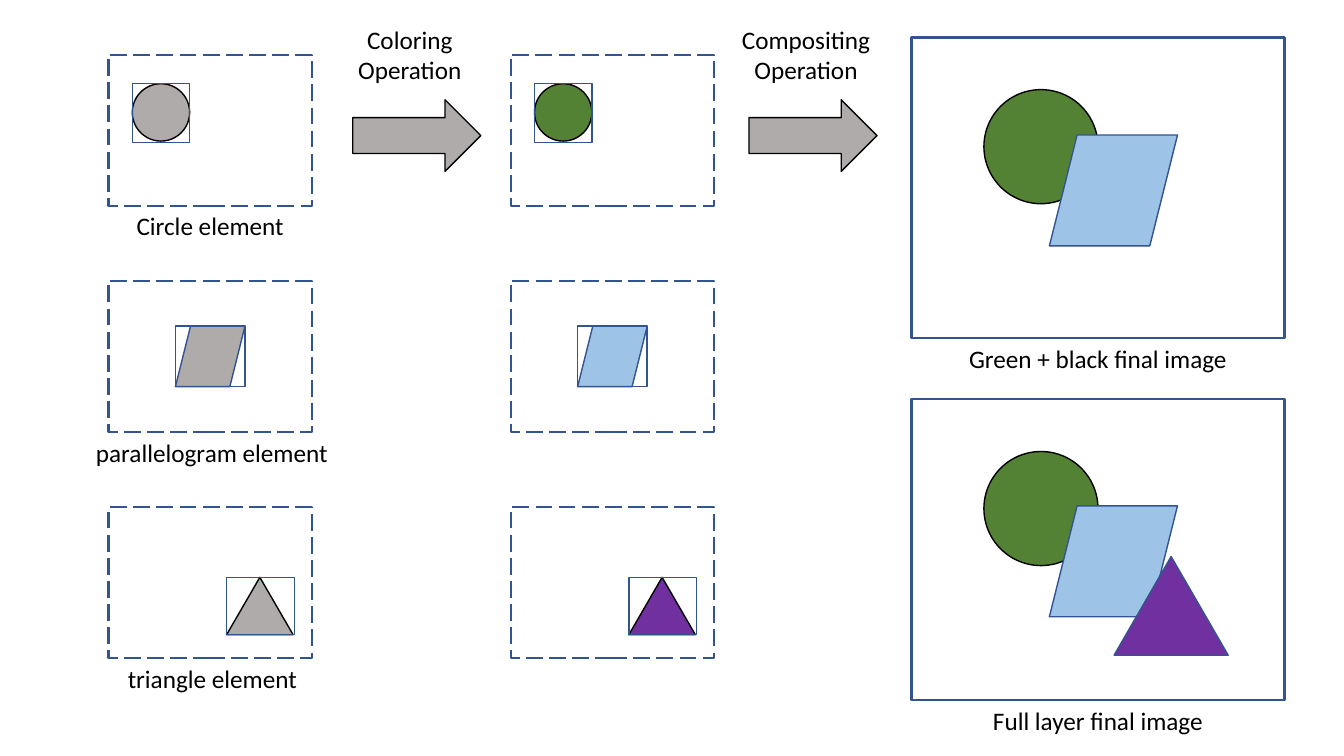
from dataclasses import dataclass
from pptx import Presentation
from pptx.dml.color import RGBColor
from pptx.enum.dml import MSO_LINE
from pptx.enum.shapes import MSO_SHAPE
from pptx.enum.text import PP_ALIGN
from pptx.util import Pt


@dataclass(frozen=True)
class Theme:
    font: str = "Calibri"
    text_size: float = 18
    black: str = "000000"
    blue: str = "325491"
    grey: str = "AFABAB"
    green: str = "548235"
    sky: str = "9DC3E6"
    purple: str = "7030A0"
    thin: float = 1
    dashed: float = 1.5
    thick: float = 2


@dataclass(frozen=True)
class Element:
    label: str
    label_shift: float
    kind: MSO_SHAPE
    color: str
    outline: str
    place: tuple
    bounds: tuple


THEME = Theme()
ELEMENTS = [
    Element("Circle element", 0, MSO_SHAPE.OVAL, THEME.green, THEME.black,
            (17, 20.8, 41, 41), (41, 41.8)),
    Element("parallelogram element", 1.2, MSO_SHAPE.PARALLELOGRAM, THEME.sky, THEME.blue,
            (47.8, 32.4, 49.7, 43.2), (49.7, 43.2)),
    Element("triangle element", 1.6, MSO_SHAPE.ISOSCELES_TRIANGLE, THEME.purple, THEME.black,
            (84.4, 50.2, 47.5, 41), (48.5, 41)),
]


def add_figure(page, kind, box, line_color, line_width=THEME.thin, fill=None):
    figure = page.shapes.add_shape(kind, *map(Pt, box))
    figure.shadow.inherit = False
    if fill:
        figure.fill.solid()
        figure.fill.fore_color.rgb = RGBColor.from_string(fill)
    else:
        figure.fill.background()
    figure.line.color.rgb = RGBColor.from_string(line_color)
    figure.line.width = Pt(line_width)
    return figure


def add_label(page, text, box):
    frame = page.shapes.add_textbox(*map(Pt, box)).text_frame
    frame.word_wrap = True
    paragraph = frame.paragraphs[0]
    paragraph.text = text
    paragraph.alignment = PP_ALIGN.CENTER
    paragraph.font.name = THEME.font
    paragraph.font.size = Pt(THEME.text_size)
    paragraph.font.color.rgb = RGBColor.from_string(THEME.black)


def within(box, place):
    left, top, width, height = place
    return box[0] + left, box[1] + top, width, height


def add_element_panel(page, box, element, fill):
    frame = add_figure(page, MSO_SHAPE.RECTANGLE, box, THEME.blue, THEME.dashed)
    frame.line.dash_style = MSO_LINE.LONG_DASH
    place = within(box, element.place)
    add_figure(page, element.kind, place, element.outline, fill=fill)
    add_figure(page, MSO_SHAPE.RECTANGLE, place[:2] + element.bounds, THEME.blue)


def add_element_label(page, box, element):
    left, top, width, height = box
    label_width = 187
    label_left = left + (width - label_width) / 2 + element.label_shift
    add_label(page, element.label, (label_left, top + height, label_width, 29))


def add_operation(page, box, text):
    left, top, width, height = box
    label_width, label_shift = 116, -5
    label_left = left + (width - label_width) / 2 + label_shift
    add_label(page, text, (label_left, top, label_width, 51))
    arrow = (left, top + 57.6, width, height - 57.6)
    add_figure(page, MSO_SHAPE.RIGHT_ARROW, arrow, THEME.black, fill=THEME.grey)


def add_final_image(page, box, caption, parallelogram_top, with_triangle):
    left, top, width, height = box
    add_figure(page, MSO_SHAPE.RECTANGLE, box, THEME.blue, THEME.thick)
    layers = [
        (MSO_SHAPE.OVAL, (51.8, 37.5, 81.5, 81.5), THEME.black, THEME.green),
        (MSO_SHAPE.PARALLELOGRAM, (98.6, parallelogram_top, 91.5, 79.2), THEME.blue, THEME.sky),
    ]
    if with_triangle:
        layers.append((MSO_SHAPE.ISOSCELES_TRIANGLE, (144.8, 112.5, 81.5, 70.5),
                       THEME.blue, THEME.purple))
    for kind, place, outline, fill in layers:
        add_figure(page, kind, within(box, place), outline, fill=fill)
    add_label(page, caption, (left, top + height, width, 29))


def build_compositing_slide(page):
    first_left, first_top = 77.5, 39
    column_step, row_step = 287.3, 161.6
    for row, element in enumerate(ELEMENTS):
        for column, fill in enumerate((THEME.grey, element.color)):
            box = (first_left + column * column_step, first_top + row * row_step, 145.2, 108)
            add_element_panel(page, box, element, fill)
            if column == 0:
                add_element_label(page, box, element)

    for left, text in ((252, "Coloring Operation"), (535, "Compositing Operation")):
        add_operation(page, (left, 13.7, 91.5, 108.8), text)

    for top, caption, parallelogram_top, with_triangle in (
        (26.5, "Green + black final image", 70, False),
        (285, "Full layer final image", 76.4, True),
    ):
        add_final_image(page, (651, top, 266.5, 215), caption, parallelogram_top, with_triangle)


deck = Presentation()
deck.slide_width, deck.slide_height = Pt(960), Pt(540)
build_compositing_slide(deck.slides.add_slide(deck.slide_layouts[6]))
deck.save("out.pptx")
